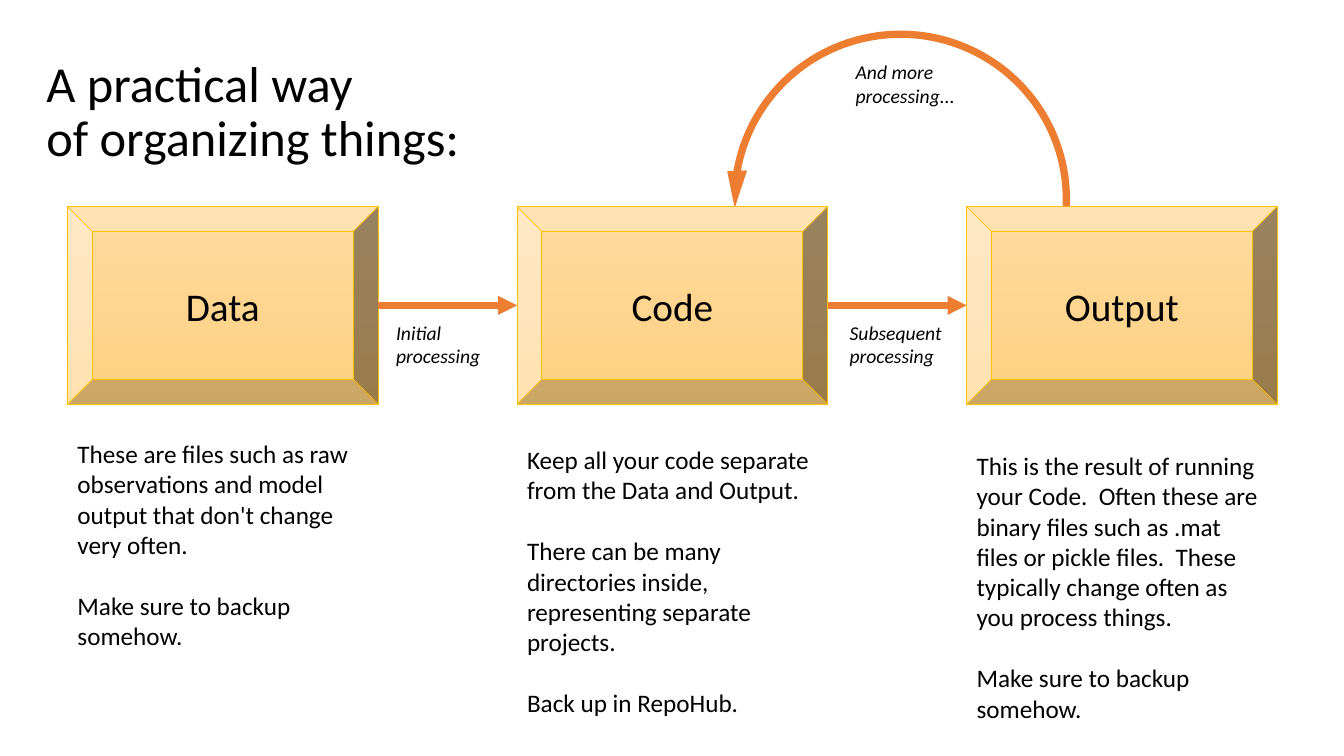
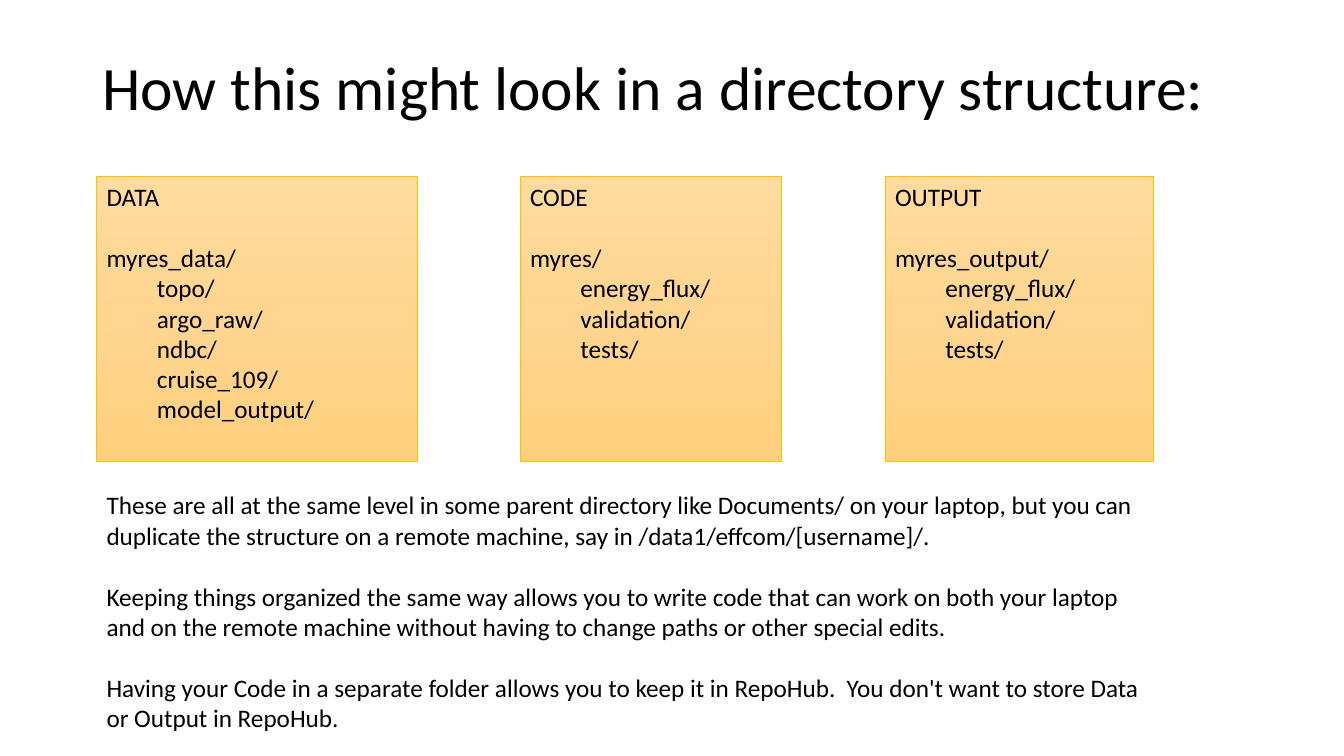
from copy import deepcopy

from pptx import Presentation
from pptx.dml.color import RGBColor
from pptx.enum.shapes import MSO_CONNECTOR, MSO_SHAPE
from pptx.enum.text import MSO_ANCHOR, PP_ALIGN
from pptx.oxml.ns import qn
from pptx.oxml.xmlchemy import OxmlElement
from pptx.util import Pt

COLORS = {"text": "000000", "arrow": "ED7D31", "border": "FFC000",
          "top": "FFDB9E", "middle": "FFD590", "bottom": "FFD07C"}
FONT = "Calibri"
BODY_SIZE = 18
BLANK_LINE = 22


def color(name):
    return RGBColor.from_string(COLORS[name])


def add_run(para, text, size, italic=False):
    span = para.add_run()
    span.text = text
    span.font.name = FONT
    span.font.size = Pt(size)
    span.font.italic = italic
    span.font.color.rgb = color("text")


def write(box, lines, size=BODY_SIZE, gap=0, italic=False,
          align=PP_ALIGN.LEFT, anchor=MSO_ANCHOR.TOP, wrap=True):
    """Write one paragraph per line, with a gap before all but the first."""
    frame = box.text_frame
    frame.word_wrap = wrap
    frame.vertical_anchor = anchor
    for index, line in enumerate(lines):
        para = frame.paragraphs[0] if index == 0 else frame.add_paragraph()
        para.alignment = align
        para.space_before = Pt(gap if index else 0)
        add_run(para, line, size, italic)
    return frame


def add_text(page, area, lines, **style):
    box = page.shapes.add_textbox(*map(Pt, area))
    return write(box, lines, **style)


def add_title(page, area, lines, size):
    frame = add_text(page, area, lines[:1], size=size, anchor=MSO_ANCHOR.MIDDLE)
    para = frame.paragraphs[0]
    para.line_spacing = 0.9
    for line in lines[1:]:
        para.add_line_break()
        add_run(para, line, size)


def add_panel(page, preset, area):
    """Add a shape with the gold gradient and thin border."""
    box = page.shapes.add_shape(preset, *map(Pt, area))
    box.shadow.inherit = False
    box.fill.gradient()
    box.fill.gradient_angle = 270
    stop_list = box.element.spPr.find(qn("a:gradFill")).find(qn("a:gsLst"))
    stop_list.insert(1, deepcopy(stop_list[0]))
    shades = ((0, "top"), (0.5, "middle"), (1, "bottom"))
    for stop, (position, shade) in zip(box.fill.gradient_stops, shades):
        stop.position = position
        stop.color.rgb = color(shade)
    box.line.color.rgb = color("border")
    box.line.width = Pt(0.5)
    return box


def add_arrow(page, left, right, y):
    arrow = page.shapes.add_connector(
        MSO_CONNECTOR.STRAIGHT, Pt(left), Pt(y), Pt(right), Pt(y))
    arrow.line.color.rgb = color("arrow")
    arrow.line.width = Pt(4.5)
    tail = OxmlElement("a:tailEnd")
    tail.set("type", "triangle")
    arrow.line._get_or_add_ln().append(tail)
    arrow.element.spPr.append(OxmlElement("a:effectLst"))


def add_return_arrow(page, area):
    """Add the arc that leads from the output back to the code."""
    arc = page.shapes.add_shape(MSO_SHAPE.CIRCULAR_ARROW, *map(Pt, area))
    arc.shadow.inherit = False
    for index, value in enumerate((0.017, 7.044, 210.253, 106.636, 0.026)):
        arc.adjustments[index] = value
    arc.element.spPr.find(qn("a:xfrm")).set("flipH", "1")
    arc.fill.solid()
    arc.fill.fore_color.rgb = color("arrow")
    arc.line.color.rgb = color("arrow")
    arc.line.width = Pt(1)


def add_stage(page, area, name, notes, drop):
    """Add a bevelled stage with its notes beneath."""
    left, top, width, height = area
    box = add_panel(page, MSO_SHAPE.BEVEL, area)
    write(box, [name], size=28, align=PP_ALIGN.CENTER, anchor=MSO_ANCHOR.MIDDLE)
    add_text(page, (left, top + height + drop, width, 180), notes, gap=BLANK_LINE)


def add_folder(page, area, heading, root, children):
    """Add a panel listing one directory and its subdirectories."""
    box = add_panel(page, MSO_SHAPE.RECTANGLE, area)
    frame = write(box, [heading, root, *children])
    frame.paragraphs[1].space_before = Pt(BLANK_LINE)
    for para in frame.paragraphs[2:]:
        para.level = 1
        para._p.get_or_add_pPr().set("marL", str(Pt(36)))


def build_workflow(page):
    add_title(page, (26, 29, 545, 104), ["A practical way", "of organizing things:"], 36)

    # Stages
    left, top, width, height, pitch = 48.25, 147.6, 221.75, 141.1, 321.1
    stages = (
        ("Data", ["These are files such as raw observations and model output "
                  "that don't change very often.",
                  "Make sure to backup somehow."]),
        ("Code", ["Keep all your code separate from the Data and Output.",
                  "There can be many directories inside, representing separate projects.",
                  "Back up in RepoHub."]),
        ("Output", ["This is the result of running your Code.  Often these are binary "
                    "files such as .mat files or pickle files.  These typically change "
                    "often as you process things.",
                    "Make sure to backup somehow."]),
    )
    for index, (name, notes) in enumerate(stages):
        area = (left + index * pitch, top, width, height)
        add_stage(page, area, name, notes, 20.9 + index * 4.3)

    # Arrows between stages
    for index in range(2):
        start = left + index * pitch + width
        add_arrow(page, start, start + pitch - width, top + height / 2)
    add_return_arrow(page, (518.4, 18, 249.8, 248.4))

    # Arrow labels
    labels = (((275.8, 225.4, 75.6, 41), ["Initial", "processing"]),
              ((599.8, 225.4, 81.4, 41), ["Subsequent", "processing"]),
              ((604.1, 39.6, 85.7, 41), ["And more", "processing..."]))
    for area, lines in labels:
        add_text(page, area, lines, size=14, italic=True, wrap=False)


def build_directories(page):
    add_title(page, (66, 29, 828, 71),
              ["How this might look in a directory structure:"], 44)

    # Folders
    results = ["energy_flux/", "validation/", "tests/"]
    folders = (
        (69, 229, "DATA", "myres_data/",
         ["topo/", "argo_raw/", "ndbc/", "cruise_109/", "model_output/"]),
        (371.5, 186.5, "CODE", "myres/", results),
        (632.2, 192, "OUTPUT", "myres_output/", results),
    )
    for left, width, *listing in folders:
        add_folder(page, (left, 126, width, 203.7), *listing)

    # Explanation
    add_text(page, (69, 346.3, 755.3, 181.5), [
        "These are all at the same level in some parent directory like Documents/ on "
        "your laptop, but you can duplicate the structure on a remote machine, say in "
        "/data1/effcom/[username]/.",
        "Keeping things organized the same way allows you to write code that can work "
        "on both your laptop and on the remote machine without having to change paths "
        "or other special edits.",
        "Having your Code in a separate folder allows you to keep it in RepoHub.  You "
        "don't want to store Data or Output in RepoHub.",
    ], gap=BLANK_LINE)


deck = Presentation()
deck.slide_width, deck.slide_height = Pt(960), Pt(540)
for build in (build_workflow, build_directories):
    build(deck.slides.add_slide(deck.slide_layouts[6]))
deck.save("out.pptx")
